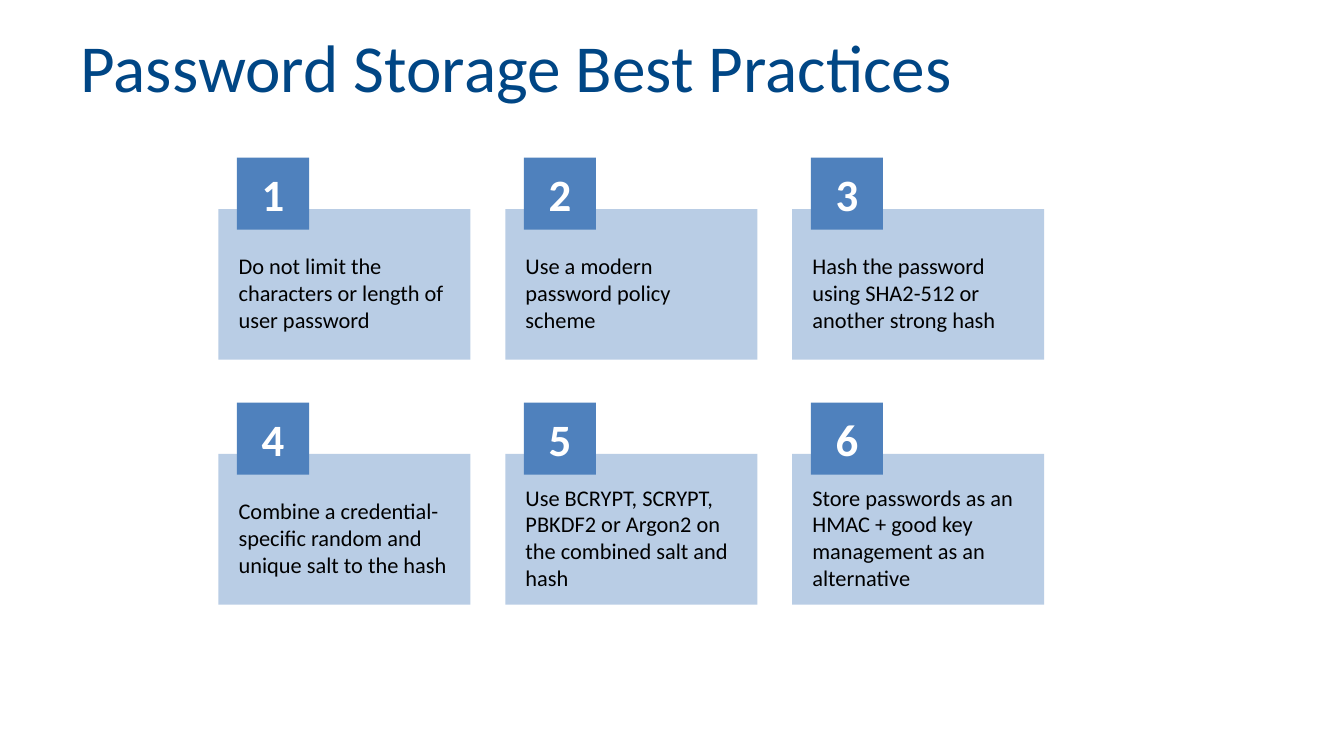
from pptx import Presentation
from pptx.dml.color import RGBColor
from pptx.enum.shapes import MSO_SHAPE
from pptx.enum.text import MSO_ANCHOR, PP_ALIGN
from pptx.util import Pt


def write(sp, text, size, color, insets, bold=False, align=PP_ALIGN.LEFT):
    tf = sp.text_frame
    tf.text = text
    tf.word_wrap = True
    tf.vertical_anchor = MSO_ANCHOR.MIDDLE
    tf.margin_left, tf.margin_top, tf.margin_right, tf.margin_bottom = [Pt(i) for i in insets]
    p = tf.paragraphs[0]
    p.alignment = align
    font = p.runs[0].font
    font.name = "Calibri"
    font.size = Pt(size)
    font.bold = bold
    font.color.rgb = RGBColor.from_string(color)


def add_rect(s, x, y, w, h, fill):
    sp = s.shapes.add_shape(MSO_SHAPE.RECTANGLE, Pt(x), Pt(y), Pt(w), Pt(h))
    sp.shadow.inherit = False
    sp.fill.solid()
    sp.fill.fore_color.rgb = RGBColor.from_string(fill)
    sp.line.fill.background()
    return sp


prs = Presentation()
prs.slide_width = Pt(720)
prs.slide_height = Pt(405)
s = prs.slides.add_slide(prs.slide_layouts[6])

title = s.shapes.add_textbox(Pt(36), Pt(1.5), Pt(648), Pt(67.5))
write(title, "Password Storage Best Practices", 36, "004685", (7.2, 3.6, 7.2, 3.6))

practices = [
    "Do not limit the characters or length of user password",
    "Use a modern password policy scheme",
    "Hash the password using SHA2-512 or another strong hash",
    "Combine a credential-specific random and unique salt to the hash",
    "Use BCRYPT, SCRYPT, PBKDF2 or Argon2 on the combined salt and hash",
    "Store passwords as an HMAC + good key management as an alternative",
]

for i, practice in enumerate(practices):
    row, col = divmod(i, 3)
    x = 117 + col * 153.7
    y = 112 + row * 131.2
    card = add_rect(s, x, y, 135, 80.8, "B9CDE5")
    write(card, practice, 12, "000000", (10.8, 13.7, 10.8, 5))
    badge = add_rect(s, x + 10, y - 27.5, 38.6, 38.6, "4F81BD")
    write(badge, str(i + 1), 24, "FFFFFF", (10.8, 5, 10.8, 5), True, PP_ALIGN.CENTER)

prs.save("out.pptx")
